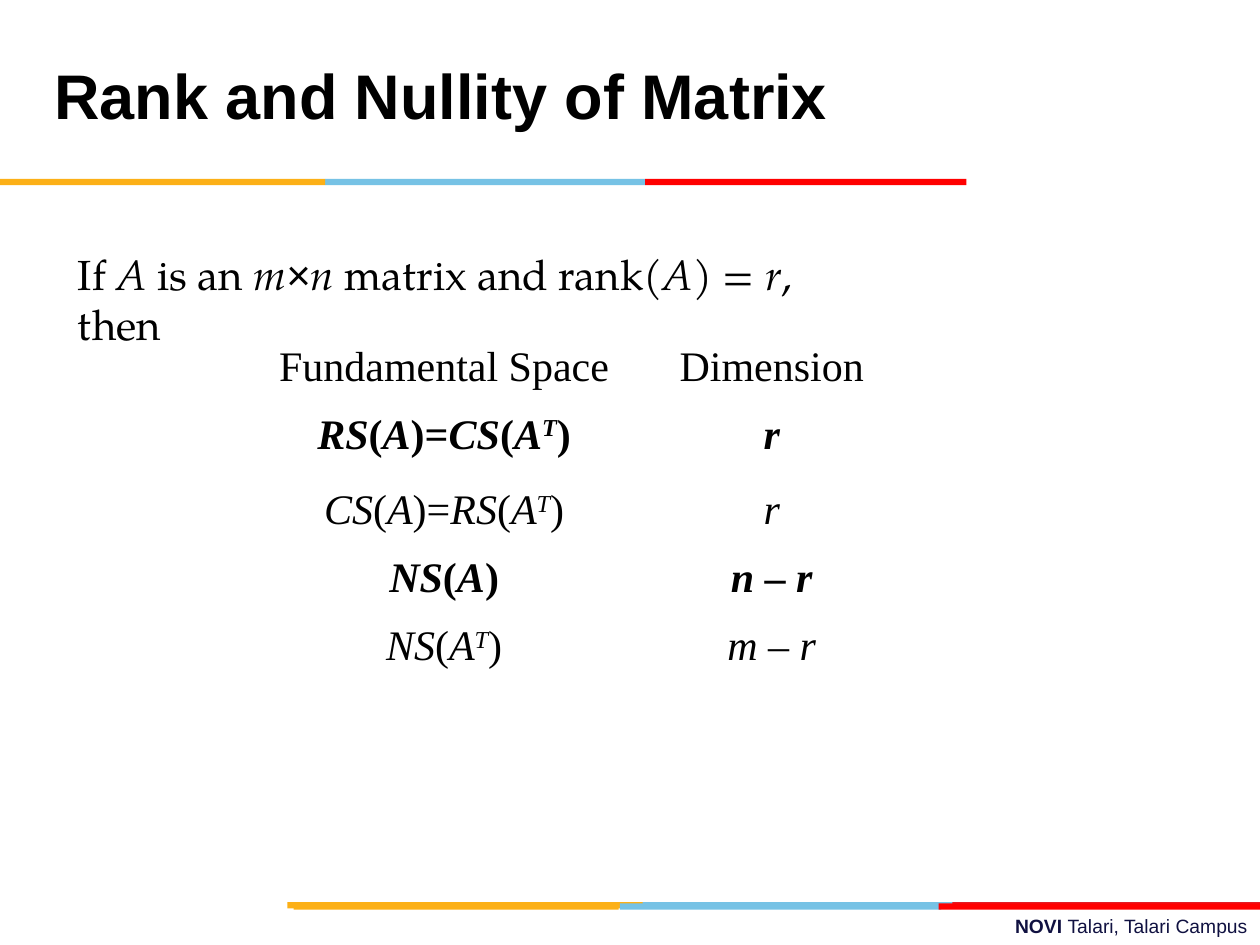
from pptx import Presentation
from pptx.dml.color import RGBColor
from pptx.enum.shapes import MSO_SHAPE
from pptx.enum.text import MSO_ANCHOR, PP_ALIGN
from pptx.util import Inches, Pt

RECTANGLE = MSO_SHAPE.RECTANGLE
MIDDLE = MSO_ANCHOR.MIDDLE
LEFT, CENTER, RIGHT = PP_ALIGN.LEFT, PP_ALIGN.CENTER, PP_ALIGN.RIGHT
COLORS = {
    "text": "000000", "campus": "101141", "gold": "FCB017",
    "sky": "76C2E5", "crimson": "E31C24", "red": "FF0000",
}


def write(para, text, font="Times New Roman", size=24, color="text",
          bold=False, align=LEFT, spacing=None, before=0):
    """Add text to a paragraph: _ toggles italic, ^ toggles superscript."""
    para.alignment = align
    para.line_spacing = spacing
    para.space_before = Pt(before)
    for i, part in enumerate(text.split("_")):
        for j, piece in enumerate(part.split("^")):
            if not piece:
                continue
            span = para.add_run()
            span.text = piece
            span.font.name = "Arial" if piece == "×" else font
            span.font.size = Pt(size)
            span.font.bold = bold
            span.font.italic = i % 2 == 1
            span.font.color.rgb = RGBColor.from_string(COLORS[color])
            if j % 2:
                span._r.get_or_add_rPr().set("baseline", "30000")


deck = Presentation()
deck.slide_width, deck.slide_height = Inches(10), Inches(7.5)
page = deck.slides.add_slide(deck.slide_layouts[5])

bars = [
    (5.06, 7.16, 2.55, "sky"), (7.56, 7.16, 2.44, "crimson"), (2.28, 7.16, 2.82, "gold"),
    (4.92, 7.17, 2.55, "sky"), (2.33, 7.17, 2.58, "gold"), (7.45, 7.17, 2.55, "red"),
    (2.58, 1.42, 2.54, "sky"), (0, 1.42, 2.58, "gold"), (5.12, 1.42, 2.55, "red"),
]
for left, top, width, color in bars:
    bar = page.shapes.add_shape(RECTANGLE, Inches(left), Inches(top), Inches(width), Inches(0.05))
    bar.shadow.inherit = False
    bar.fill.solid()
    bar.fill.fore_color.rgb = RGBColor.from_string(COLORS[color])
    bar.line.fill.background()

title = page.shapes.title
title.left, title.top = Inches(0.33), Inches(0.17)
title.width, title.height = Inches(6.92), Inches(1.25)
title.text_frame.vertical_anchor = MIDDLE
write(title.text_frame.paragraphs[0], "Rank and Nullity of Matrix",
      font="Arial", size=36, bold=True, spacing=Pt(36))

premise = page.shapes.add_textbox(Inches(0.52), Inches(1.92), Inches(6.55), Inches(0.5))
premise.text_frame.word_wrap = True
write(premise.text_frame.paragraphs[0],
      "If _A_ is an _m_×_n_ matrix and rank(_A_) = _r_, then",
      font="TeX Gyre Pagella", before=6)

campus = page.shapes.add_textbox(Inches(3.58), Inches(7.21), Inches(6.42), Inches(0.29))
campus.text_frame.word_wrap = True
campus_para = campus.text_frame.paragraphs[0]
for text, bold in (("NOVI ", True), ("Talari, Talari Campus", False)):
    write(campus_para, text, font="Arial", size=11, color="campus", bold=bold, align=RIGHT)

rows = [
    ("Fundamental Space", "Dimension", False, 0.54),
    ("_RS_(_A_)=_CS_(_A^T^_)", "_r_", True, 0.6),
    ("_CS_(_A_)=_RS_(_A^T^_)", "_r_", False, 0.54),
    ("_NS_(_A_)", "_n _–_ r_", True, 0.54),
    ("_NS_(_A^T^_)", "_m _–_ r_", False, 0.54),
]
table = page.shapes.add_table(len(rows), 2, Inches(2.11), Inches(2.7),
                              Inches(5.2), Inches(2.76)).table
table.first_row = table.horz_banding = False
for column, width in zip(table.columns, (2.83, 2.37)):
    column.width = Inches(width)
for row, (space, dimension, bold, height) in zip(table.rows, rows):
    row.height = Inches(height)
    for cell, text in zip(row.cells, (space, dimension)):
        cell.fill.background()
        write(cell.text_frame.paragraphs[0], text, bold=bold,
              align=CENTER, spacing=0.93, before=6)

deck.save("out.pptx")
